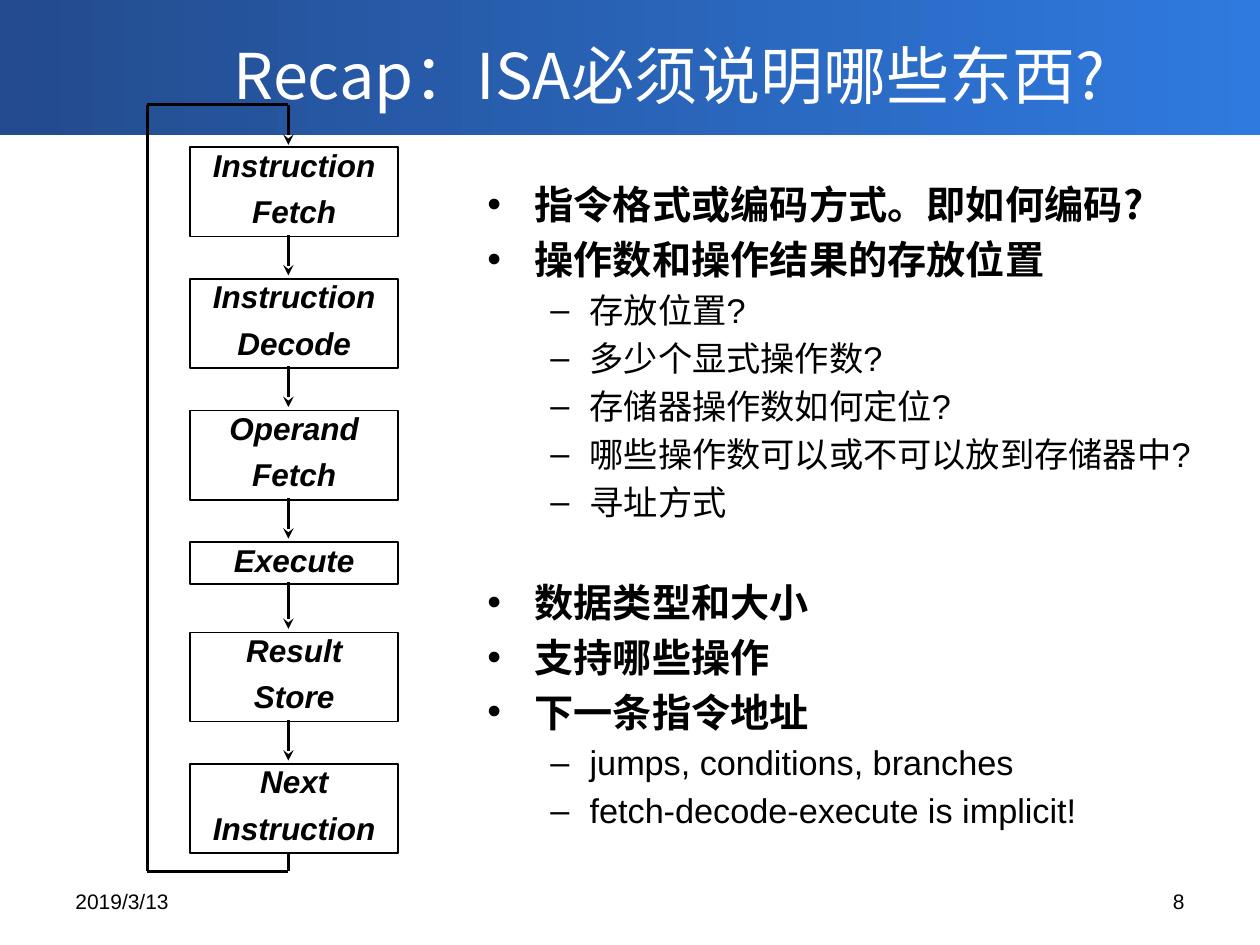
from itertools import pairwise

from lxml import etree
from pptx import Presentation
from pptx.dml.color import RGBColor
from pptx.enum.shapes import MSO_CONNECTOR, MSO_SHAPE
from pptx.enum.text import MSO_ANCHOR, PP_ALIGN
from pptx.oxml.ns import qn
from pptx.util import Pt

RECT = MSO_SHAPE.RECTANGLE
STRAIGHT = MSO_CONNECTOR.STRAIGHT
TOP, MIDDLE = MSO_ANCHOR.TOP, MSO_ANCHOR.MIDDLE
LEFT, CENTER, RIGHT = PP_ALIGN.LEFT, PP_ALIGN.CENTER, PP_ALIGN.RIGHT
CJK, ARIAL = "Noto Sans CJK SC", "Arial"
BLACK, WHITE = "000000", "FFFFFF"

STAGES = [
    ["Instruction", "Fetch"],
    ["Instruction", "Decode"],
    ["Operand", "Fetch"],
    ["Execute"],
    ["Result", "Store"],
    ["Next", "Instruction"],
]

TOPICS = [
    [
        ("指令格式或编码方式。即如何编码?", []),
        ("操作数和操作结果的存放位置", [
            "存放位置?",
            "多少个显式操作数?",
            "存储器操作数如何定位?",
            "哪些操作数可以或不可以放到存储器中?",
            "寻址方式",
        ]),
    ],
    [
        ("数据类型和大小", []),
        ("支持哪些操作", []),
        ("下一条指令地址", [
            "jumps, conditions, branches",
            "fetch-decode-execute is implicit!",
        ]),
    ],
]

TOPIC = {
    "font": {"size": Pt(22.4), "name": CJK, "bold": True},
    "para": {"line_spacing": Pt(26.9), "space_before": Pt(4.5)},
    "bullet": ("•", 27, -27),
}
DETAIL = {
    "font": {"size": Pt(19.6), "name": ARIAL, "bold": False},
    "para": {"line_spacing": Pt(23.5), "space_before": Pt(3.9), "level": 1},
    "bullet": ("–", 58.5, -22.5),
}


def rgb(value):
    return RGBColor.from_string(value)


def set_attrs(obj, values):
    for name, value in values.items():
        setattr(obj, name, value)


def add_run(p, text, color, font):
    r = p.add_run()
    r.text = text
    set_attrs(r.font, font)
    r.font.color.rgb = rgb(color)
    ea = etree.SubElement(r._r.get_or_add_rPr(), qn("a:ea"))
    ea.set("typeface", CJK)


def add_bullet(p, char, margin, indent):
    pPr = p._p.get_or_add_pPr()
    pPr.set("marL", str(Pt(margin)))
    pPr.set("indent", str(Pt(indent)))
    etree.SubElement(pPr, qn("a:buFont")).set("typeface", ARIAL)
    etree.SubElement(pPr, qn("a:buChar")).set("char", char)


def add_text(s, box, text="", anchor=MIDDLE, align=LEFT, color=BLACK, font=None):
    tf = s.shapes.add_textbox(*map(Pt, box)).text_frame
    set_attrs(tf, {"word_wrap": True, "vertical_anchor": anchor})
    if text:
        tf.paragraphs[0].alignment = align
        add_run(tf.paragraphs[0], text, color, font)
    return tf


def add_banner(s, box):
    x, y, w, h = box
    sp = s.shapes.add_shape(RECT, *map(Pt, box))
    sp.shadow.inherit = False
    sp.line.fill.background()
    sp.fill.gradient()
    sp.fill.gradient_angle = 0
    for stop, color in zip(sp.fill.gradient_stops, ["234B8D", "2F7ADF"]):
        stop.color.rgb = rgb(color)
    add_text(s, (x + 81, y + 11.5, 603, 62), "Recap：ISA必须说明哪些东西?",
             align=CENTER, color=WHITE, font={"size": Pt(36), "name": CJK})


def add_line(s, start, end, arrow=False):
    cxn = s.shapes.add_connector(STRAIGHT, *map(Pt, (*start, *end)))
    cxn.line.width = Pt(2)
    cxn.line.color.rgb = rgb(BLACK)
    if arrow:
        tail = etree.SubElement(cxn.line._get_or_add_ln(), qn("a:tailEnd"))
        tail.set("type", "stealth")
    etree.SubElement(cxn._element.spPr, qn("a:effectLst"))


def add_stage(s, box, words):
    sp = s.shapes.add_shape(RECT, *map(Pt, box))
    sp.shadow.inherit = False
    sp.fill.background()
    sp.line.width = Pt(1)
    sp.line.color.rgb = rgb(BLACK)
    tf = sp.text_frame
    set_attrs(tf, {"word_wrap": True, "vertical_anchor": TOP,
                   "margin_left": Pt(5), "margin_right": Pt(5),
                   "margin_top": Pt(2.2), "margin_bottom": Pt(2.2)})
    for i, word in enumerate(words):
        p = tf.add_paragraph() if i else tf.paragraphs[0]
        set_attrs(p, {"alignment": CENTER, "line_spacing": 0.86,
                      "space_before": Pt(7.9)})
        add_run(p, word, BLACK, {"size": Pt(18), "name": ARIAL,
                                 "bold": True, "italic": True})


def add_cycle(s, box):
    x, y, w, h = box
    mid, stage_x = x + 80.6, x + 24.5
    top = y + 24.4
    start = None
    for words in STAGES:
        height = 51 if len(words) > 1 else 24
        add_stage(s, (stage_x, top, w - 24.5, height), words)
        if start:
            add_line(s, (mid, start), (mid, top - 2), arrow=True)
        start = top + height - 1
        top += height + (24.2 if len(words) > 1 else 27.6)
    corners = [(mid, start), (mid, y + h), (x, y + h), (x, y), (mid, y)]
    for a, b in pairwise(corners):
        add_line(s, a, b)
    add_line(s, (mid, y), (mid, y + 23), arrow=True)


def add_topics(s, box):
    tf = add_text(s, box, anchor=TOP)
    p = tf.paragraphs[0]
    for g, group in enumerate(TOPICS):
        for t, (topic, details) in enumerate(group):
            lines = [(topic, TOPIC)] + [(detail, DETAIL) for detail in details]
            for text, style in lines:
                if p.runs:
                    p = tf.add_paragraph()
                set_attrs(p, style["para"])
                if g and not t and style is TOPIC:
                    p.space_before = Pt(31.9)
                add_bullet(p, *style["bullet"])
                add_run(p, text, BLACK, style["font"])


def add_footer(s, box):
    x, y, w, h = box
    font = {"size": Pt(12), "name": ARIAL}
    add_text(s, (x, y, 168, h), "2019/3/13", font=font)
    add_text(s, (x + w - 168, y, 168, h), "8", align=RIGHT, font=font)


def main():
    prs = Presentation()
    set_attrs(prs, {"slide_width": Pt(720), "slide_height": Pt(540)})
    s = prs.slides.add_slide(prs.slide_layouts[6])
    add_banner(s, (0, 0, 720, 77))
    add_topics(s, (271.4, 99.4, 412.6, 397.4))
    add_footer(s, (36, 500.4, 648, 28.8))
    add_cycle(s, (84.2, 59.8, 143.3, 438.2))
    prs.save("out.pptx")


if __name__ == "__main__":
    main()
